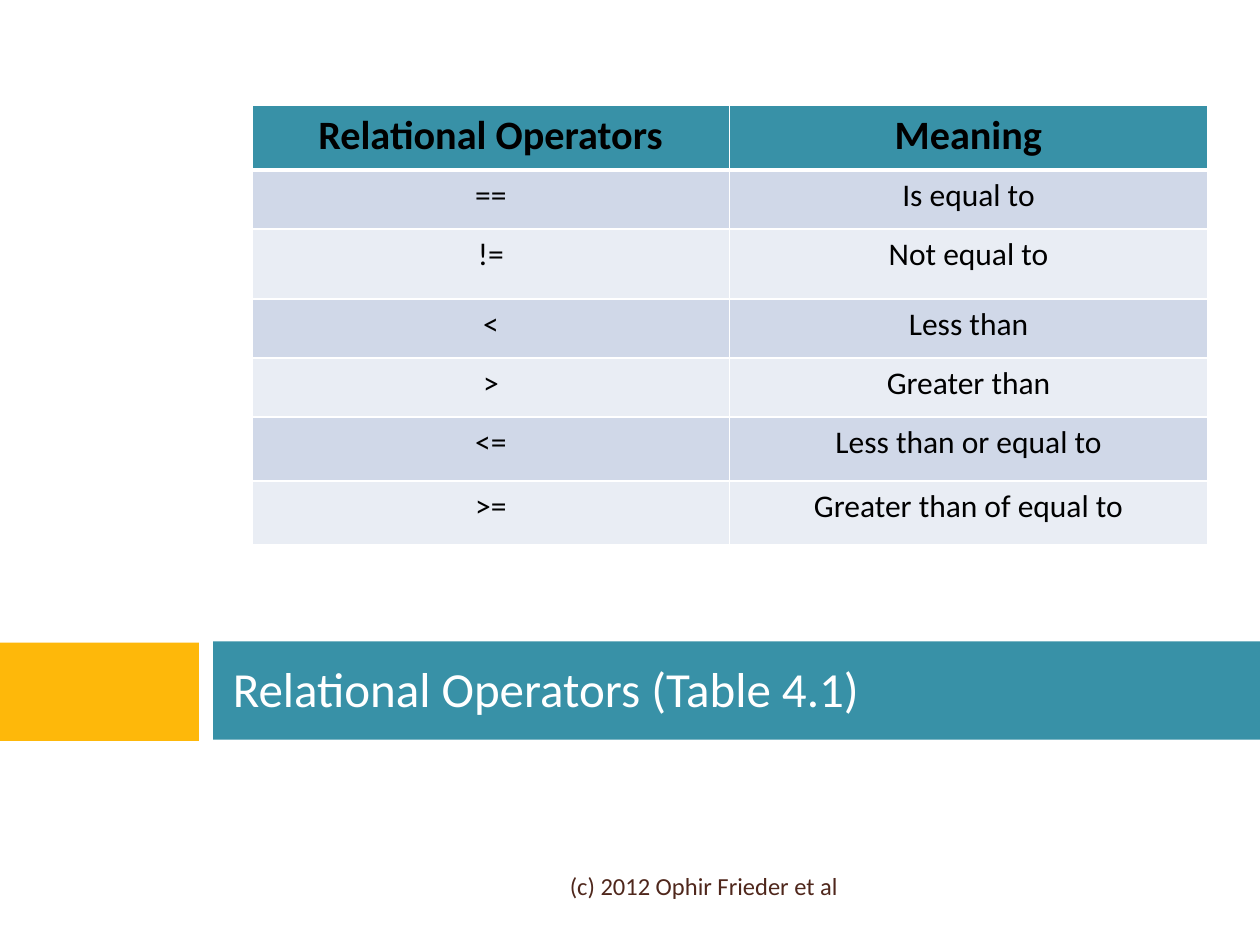
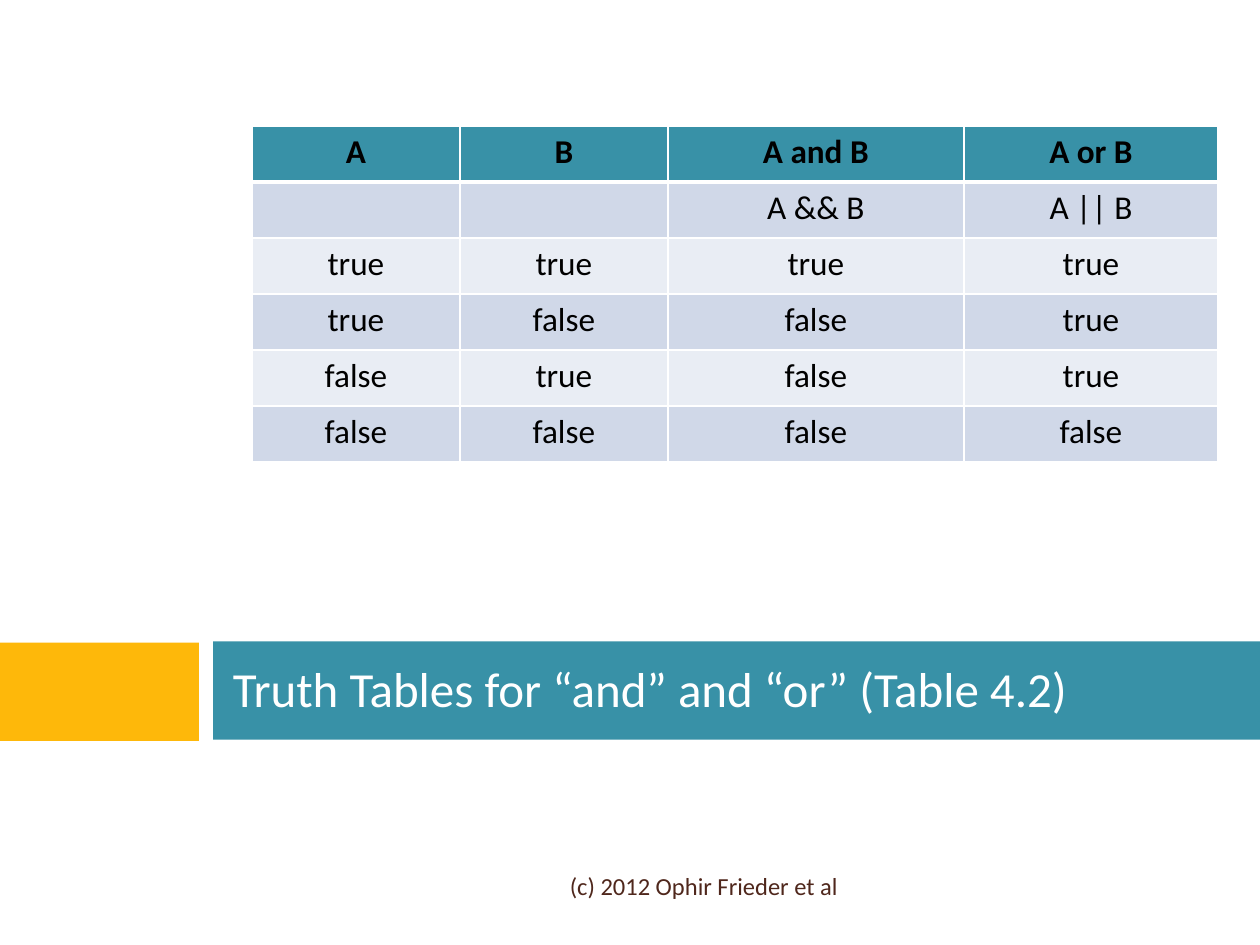
from lxml import etree
from pptx import Presentation
from pptx.dml.color import RGBColor
from pptx.enum.shapes import MSO_SHAPE
from pptx.enum.text import MSO_ANCHOR, PP_ALIGN
from pptx.oxml.ns import qn
from pptx.util import Pt

RECT = MSO_SHAPE.RECTANGLE
MIDDLE = MSO_ANCHOR.MIDDLE
LEFT, CENTER, RIGHT = PP_ALIGN.LEFT, PP_ALIGN.CENTER, PP_ALIGN.RIGHT

WHITE = RGBColor(0xFF, 0xFF, 0xFF)
BLACK = RGBColor(0x00, 0x00, 0x00)
TEAL = RGBColor(0x38, 0x91, 0xA7)
AMBER = RGBColor(0xFE, 0xB8, 0x0A)
BROWN = RGBColor(0x4F, 0x27, 0x1C)
BAND_DARK = RGBColor(0xD0, 0xD8, 0xE8)
BAND_LIGHT = RGBColor(0xE9, 0xED, 0xF4)

FONT = "Calibri"
FOOTER = "(c) 2012 Ophir Frieder et al"

OPERATORS = [
    ("Relational Operators", "Meaning"),
    ("==", "Is equal to"),
    ("!=", "Not equal to"),
    ("<", "Less than"),
    (">", "Greater than"),
    ("<=", "Less than or equal to"),
    (">=", "Greater than of equal to"),
]
TRUTH = [
    ("A", "B", "A and B", "A or B"),
    ("", "", "A && B", "A || B"),
    ("true", "true", "true", "true"),
    ("true", "false", "false", "true"),
    ("false", "true", "false", "true"),
    ("false", "false", "false", "false"),
]


class Deck:
    """Holds the presentation, its style and the current slide."""

    def __init__(self):
        self.prs = Presentation()
        self.prs.slide_width = Pt(720)
        self.prs.slide_height = Pt(540)
        self.s = None

    def slide(self, title):
        self.s = self.prs.slides.add_slide(self.prs.slide_layouts[6])
        self.band(-0.72, 367.2, 115, 56.2, AMBER)
        self.band(121.7, 366.5, 598.3, 56.2, TEAL)
        self.band(113.8, 0, 7.9, 540, WHITE)
        self.text(title, 126, 365.8, 576, 54, 28, WHITE, LEFT)
        self.text(FOOTER, 126, 491.8, 360, 28.8, 14, BROWN, RIGHT)

    def band(self, x, y, w, h, color):
        sp = self.s.shapes.add_shape(RECT, Pt(x), Pt(y), Pt(w), Pt(h))
        sp.shadow.inherit = False
        sp.fill.solid()
        sp.fill.fore_color.rgb = color
        sp.line.fill.background()

    def text(self, text, x, y, w, h, size, color, align):
        sp = self.s.shapes.add_textbox(Pt(x), Pt(y), Pt(w), Pt(h))
        tf = sp.text_frame
        tf.word_wrap = True
        tf.vertical_anchor = MIDDLE
        tf.text = text
        self.format(tf.paragraphs[0], size, color, align)

    def format(self, p, size, color, align, bold=False):
        p.alignment = align
        for r in p.runs:
            r.font.name = FONT
            r.font.size = Pt(size)
            r.font.bold = bold
            r.font.color.rgb = color

    def borders(self, cell, top, bottom):
        tcPr = cell._tc.get_or_add_tcPr()
        for side, width in (("L", 1), ("R", 1), ("T", top), ("B", bottom)):
            ln = etree.SubElement(tcPr, qn(f"a:ln{side}"), w=str(Pt(width)))
            fill = etree.SubElement(ln, qn("a:solidFill"))
            etree.SubElement(fill, qn("a:srgbClr"), val=str(WHITE))

    def table(self, rows, x, y, widths, heights, head_size, body_size):
        frame = self.s.shapes.add_table(len(rows), len(widths), Pt(x), Pt(y),
                                        Pt(sum(widths)), Pt(sum(heights)))
        table = frame.table
        for column, width in zip(table.columns, widths):
            column.width = Pt(width)
        for i, (values, height) in enumerate(zip(rows, heights)):
            table.rows[i].height = Pt(height)
            head = i == 0
            color = TEAL if head else BAND_DARK if i % 2 else BAND_LIGHT
            for j, value in enumerate(values):
                cell = table.cell(i, j)
                self.borders(cell, 3 if i == 1 else 1, 3 if head else 1)
                cell.fill.solid()
                cell.fill.fore_color.rgb = color
                cell.text_frame.text = value
                self.format(cell.text_frame.paragraphs[0],
                            head_size if head else body_size,
                            BLACK, CENTER, head)


def main():
    deck = Deck()
    deck.slide("Relational Operators (Table 4.1)")
    deck.table(OPERATORS, 144, 60, [273, 273],
               [37.2, 33.6, 40.2, 33.6, 33.6, 36.6, 36.6], 23, 18)
    deck.slide("Truth Tables for “and” and “or” (Table 4.2)")
    deck.table(TRUTH, 144, 72, [118.8, 118.8, 169.2, 145.2], [32] * len(TRUTH), 19, 19)
    deck.prs.save("out.pptx")


if __name__ == "__main__":
    main()
